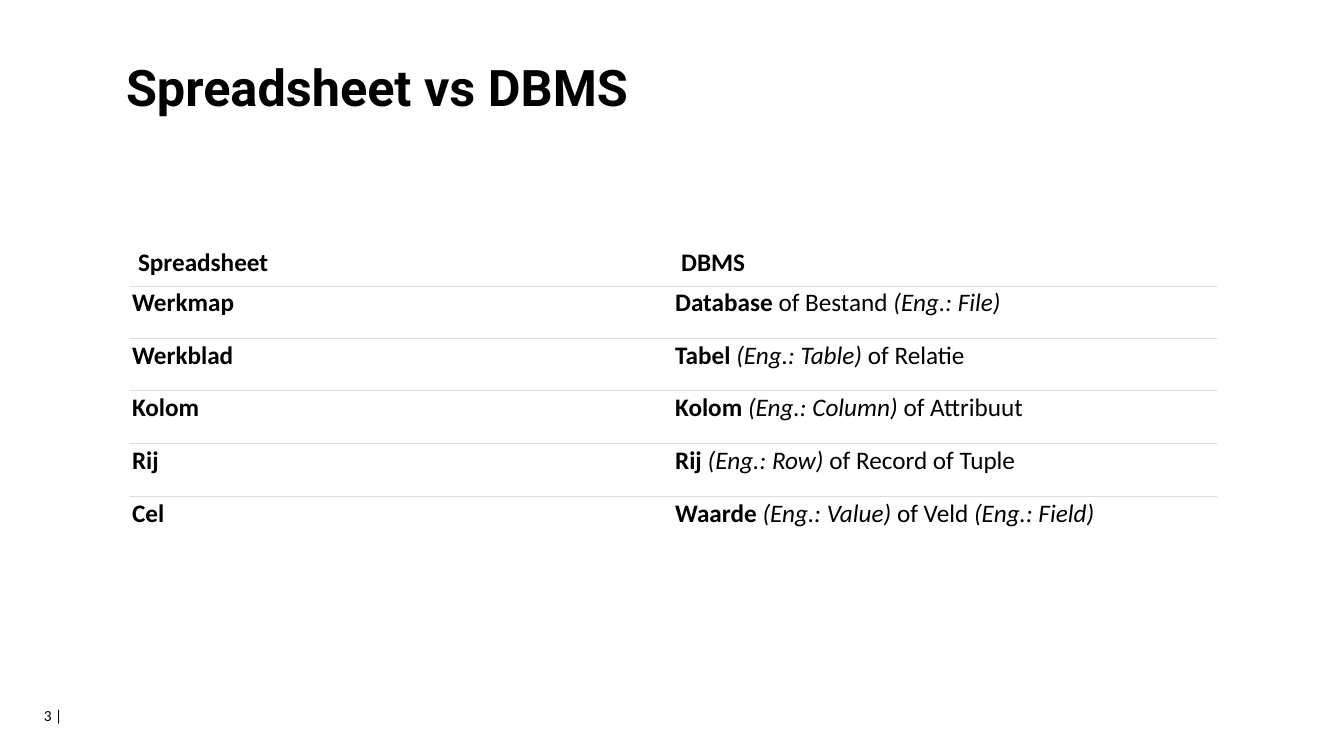
import pptx
import pptx.dml.color
import pptx.enum.text
import pptx.oxml
import pptx.oxml.ns
import pptx.util

BLACK = pptx.dml.color.RGBColor(0x00, 0x00, 0x00)
RULE = pptx.dml.color.RGBColor(0xDD, 0xDD, 0xDD)
PX = 914400 / 100.8
TOP = pptx.enum.text.MSO_ANCHOR.TOP
BOTTOM = pptx.enum.text.MSO_ANCHOR.BOTTOM
LEFT = pptx.enum.text.PP_ALIGN.LEFT

HEADER = [[("Spreadsheet", "b")], [("DBMS", "b")]]
TERMS = [
    [[("Werkmap", "b")], [("Database", "b"), (" of Bestand ", ""), ("(Eng.: File)", "i")]],
    [[("Werkblad", "b")], [("Tabel ", "b"), ("(Eng.: Table)", "i"), (" of Relatie", "")]],
    [[("Kolom", "b")], [("Kolom ", "b"), ("(Eng.: Column)", "i"), (" of Attribuut", "")]],
    [[("Rij", "b")], [("Rij ", "b"), ("(Eng.: Row)", "i"), (" of Record of Tuple", "")]],
    [[("Cel", "b")], [("Waarde ", "b"), ("(Eng.: Value)", "i"), (" of Veld ", ""),
                      ("(Eng.: Field)", "i")]],
]


def px(n):
    return pptx.util.Emu(round(n * PX))


class SlideBuilder:
    heading_font = "Roboto"
    body_font = "Calibri"

    def __init__(self, prs):
        self.slide = prs.slides.add_slide(prs.slide_layouts[5])

    def style(self, p, font, size):
        p.alignment = LEFT
        p.font.name = font
        p.font.size = pptx.util.Pt(size)
        p.font.color.rgb = BLACK

    def insets(self, target, left, top, right, bottom):
        target.margin_left, target.margin_top = px(left), px(top)
        target.margin_right, target.margin_bottom = px(right), px(bottom)

    def title(self, text, x, y, w, h):
        sp = self.slide.shapes.title
        sp.left, sp.top, sp.width, sp.height = px(x), px(y), px(w), px(h)
        tf = sp.text_frame
        tf.text = text
        tf.word_wrap = True
        tf.auto_size = pptx.enum.text.MSO_AUTO_SIZE.NONE
        tf.vertical_anchor = TOP
        self.insets(tf, 7, 5, 10, 5)
        p = tf.paragraphs[0]
        self.style(p, self.heading_font, 36)
        p.font.bold = True
        p.line_spacing = 0.9

    def text(self, text, x, y, w, h, size):
        sp = self.slide.shapes.add_textbox(px(x), px(y), px(w), px(h))
        tf = sp.text_frame
        tf.word_wrap = True
        tf.text = text
        self.style(tf.paragraphs[0], self.body_font, size)

    def border(self, cell, side):
        ln = pptx.oxml.parse_xml(
            f'<a:{side} {pptx.oxml.ns.nsdecls("a")} w="{pptx.util.Pt(0.75)}">'
            f'<a:solidFill><a:srgbClr val="{RULE}"/></a:solidFill></a:{side}>')
        cell._tc.get_or_add_tcPr().append(ln)

    def cell(self, cell, runs, anchor, inset):
        cell.vertical_anchor = anchor
        self.insets(cell, inset, inset, inset, inset)
        p = cell.text_frame.paragraphs[0]
        self.style(p, self.body_font, 18)
        for text, mark in runs:
            r = p.add_run()
            r.text = text
            r.font.bold = mark == "b"
            r.font.italic = mark == "i"

    def table(self, rows, x, y, col_width, heights):
        cols = len(rows[0])
        frame = self.slide.shapes.add_table(
            len(rows), cols, px(x), px(y), px(col_width * cols), px(sum(heights)))
        table = frame.table
        table.first_row = table.horz_banding = False
        for column in table.columns:
            column.width = px(col_width)
        for i, (row, height) in enumerate(zip(rows, heights)):
            table.rows[i].height = px(height)
            anchor, inset = (TOP, 2) if i else (BOTTOM, 8)
            for j, runs in enumerate(row):
                cell = table.cell(i, j)
                self.cell(cell, runs, anchor, inset)
                if i > 0:
                    self.border(cell, "lnT")
                if i < len(rows) - 1:
                    self.border(cell, "lnB")
                cell.fill.background()


def main():
    prs = pptx.Presentation()
    prs.slide_width = pptx.util.Inches(13.33)
    prs.slide_height = pptx.util.Inches(7.5)
    s = SlideBuilder(prs)
    s.table([HEADER] + TERMS, 130, 214, 543, [72, 53, 52, 53, 53, 100])
    s.title("Spreadsheet vs DBMS", 119, 58, 1182, 96)
    s.text("3 |", 34, 701, 85, 40, 11)
    prs.save("out.pptx")


if __name__ == "__main__":
    main()
